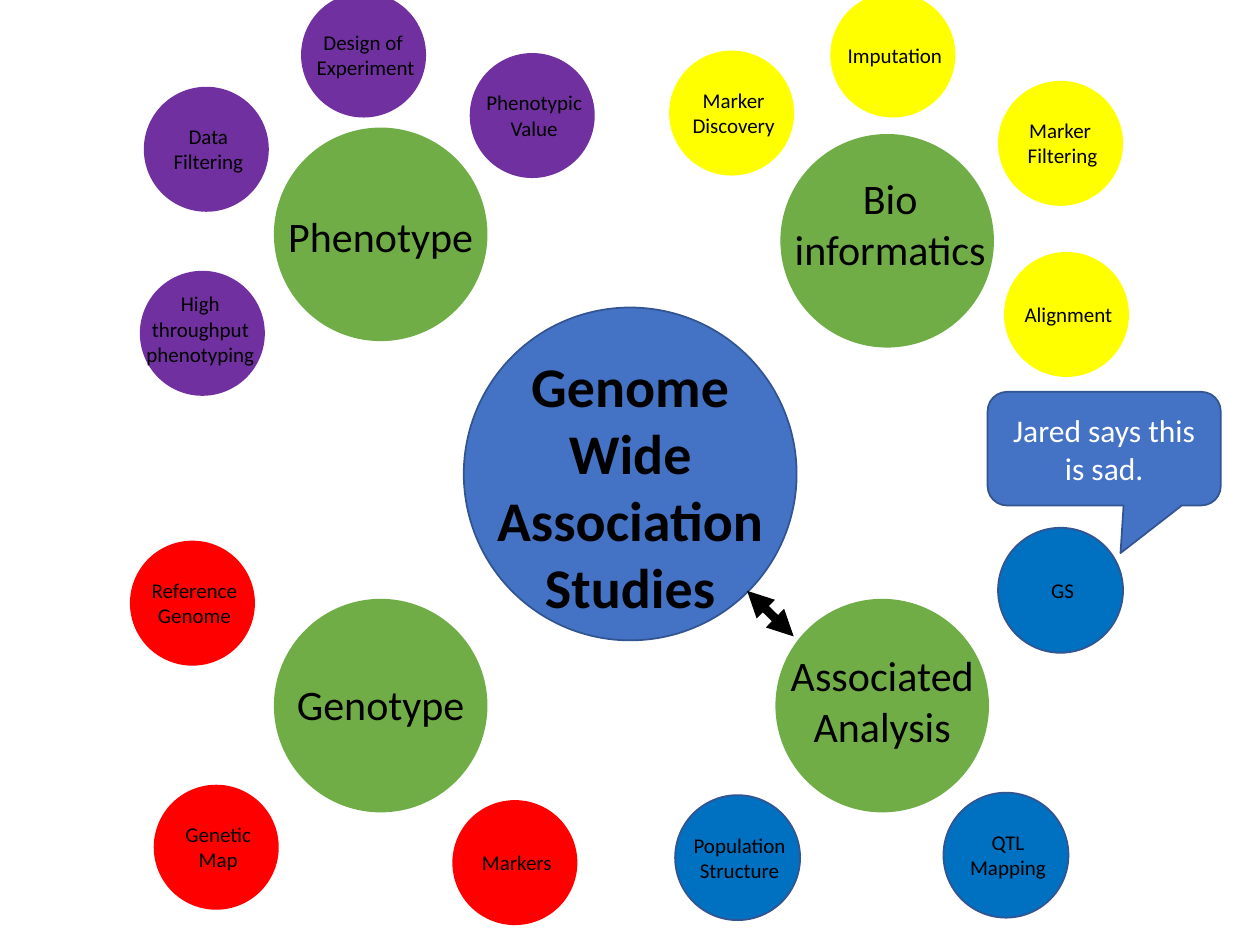
from dataclasses import dataclass
from typing import Optional

from lxml.etree import SubElement as Sub
from pptx import Presentation
from pptx.dml.color import RGBColor as Rgb
from pptx.enum.shapes import MSO_CONNECTOR as Link, MSO_SHAPE as Kind
from pptx.enum.text import MSO_ANCHOR as Anchor, MSO_AUTO_SIZE as Fit, PP_ALIGN as Align
from pptx.oxml.ns import qn
from pptx.util import Cm, Pt


@dataclass(frozen=True)
class Theme:
    font: str = "Calibri"
    blue: str = "4472C4"
    edge: str = "325491"
    green: str = "70AD47"
    navy: str = "0070C0"
    yellow: str = "FFFF00"
    purple: str = "7030A0"
    red: str = "FF0000"
    black: str = "000000"
    white: str = "FFFFFF"
    core: int = 32
    hub: int = 24
    note: int = 18
    leaf: int = 12


@dataclass(frozen=True)
class Style:
    size: float
    fill: str
    line: Optional[str]
    pt: int
    shift: float = 0
    bold: bool = False


@dataclass(frozen=True)
class Disc:
    left: float
    top: float
    text: str
    style: Style
    rows: int = 1
    dx: float = 0
    dy: float = 0
    wide: Optional[float] = None


T = Theme()
CORE = Style(6.71, T.blue, T.edge, T.core, bold=True)
HUB = Style(4.27, T.green, T.green, T.hub)
NAVY = Style(2.52, T.navy, T.edge, T.leaf, 0.04)
YELLOW = Style(2.52, T.yellow, None, T.leaf, 0.04)
PURPLE = Style(2.52, T.purple, None, T.leaf, 0.04)
RED = Style(2.52, T.red, None, T.leaf, 0.04)

HUBS = [
    Disc(9.35, 6.2, "Genome Wide Association Studies", CORE, 4, dy=0.28),
    Disc(5.54, 2.59, "Phenotype", HUB, dy=0.03),
    Disc(5.54, 12.09, "Genotype", HUB, dy=-0.03),
    Disc(15.65, 12.09, "Associated Analysis", HUB, 2, dy=-0.09),
    Disc(15.75, 2.72, "Bio\ninformatics", HUB, 2, 0.06, -0.34, 4.6),
]
LEAVES = [
    Disc(19.02, 15.98, "QTL Mapping", NAVY, 2),
    Disc(20.12, 10.64, "GS", NAVY),
    Disc(20.24, 5.08, "Alignment", YELLOW),
    Disc(13.61, 16.03, "Population\nStructure", NAVY, 2),
    Disc(13.49, 1.02, "Marker Discovery", YELLOW, 2),
    Disc(16.74, -0.15, "Imputation", YELLOW),
    Disc(20.12, 1.63, "Marker \nFiltering", YELLOW, 2),
    Disc(6.07, -0.15, "Design of \nExperiment", PURPLE, 2),
    Disc(2.82, 5.46, "High throughput phenotyping", PURPLE, 3, -0.08, -0.08, 2.9),
    Disc(9.47, 1.07, "Phenotypic Value", PURPLE, 2),
    Disc(2.9, 1.75, "Data\nFiltering", PURPLE, 2),
    Disc(2.62, 10.9, "Reference\nGenome", RED, 2),
    Disc(3.1, 15.82, "Genetic\nMap", RED, 2),
    Disc(9.12, 16.13, "Markers", RED),
]


def apply(item, values: dict) -> None:
    for name, value in values.items():
        setattr(item, name, value)


def paint(shape, fill: str, line: Optional[str]) -> None:
    shape.shadow.inherit = False
    shape.fill.solid()
    shape.fill.fore_color.rgb = Rgb.from_string(fill)
    if line:
        shape.line.color.rgb = Rgb.from_string(line)
        shape.line.width = Pt(1)
    else:
        shape.line.fill.background()


def write(shape, text: str, pt: int, color: str, frame: dict, bold: bool = False) -> None:
    body = shape.text_frame
    body.text = text
    apply(body, {"word_wrap": True, **frame})
    for para in body.paragraphs:
        para.alignment = Align.CENTER
        for run in para.runs:
            apply(run.font, {"name": T.font, "size": Pt(pt), "bold": bold})
            run.font.color.rgb = Rgb.from_string(color)


def draw(shapes, disc: Disc) -> None:
    style = disc.style
    size = style.size
    oval = shapes.add_shape(Kind.OVAL, Cm(disc.left), Cm(disc.top), Cm(size), Cm(size))
    paint(oval, style.fill, style.line)
    wide = disc.wide or size
    high = Cm(0.25) + Pt(1.22 * style.pt * disc.rows)
    left = disc.left + (size - wide) / 2 + style.shift + disc.dx
    top = Cm(disc.top + size / 2 + disc.dy) - high // 2
    box = shapes.add_textbox(Cm(left), top, Cm(wide), high)
    write(box, disc.text, style.pt, T.black, {"auto_size": Fit.SHAPE_TO_FIT_TEXT}, style.bold)


def arrow(shapes, start: tuple[float, float], end: tuple[float, float]) -> None:
    link = shapes.add_connector(Link.STRAIGHT, *map(Cm, start + end))
    link.line.color.rgb = Rgb.from_string(T.black)
    link.line.width = Pt(5)
    for tag in ("a:headEnd", "a:tailEnd"):
        Sub(link.line._get_or_add_ln(), qn(tag), type="triangle")
    Sub(link._element.spPr, qn("a:effectLst"))


def callout(shapes, text: str) -> None:
    note = shapes.add_shape(
        Kind.ROUNDED_RECTANGULAR_CALLOUT, Cm(19.91), Cm(7.9), Cm(4.7), Cm(2.29)
    )
    for spot, value in enumerate((0.07, 0.92, 0.17)):
        note.adjustments[spot] = value
    paint(note, T.blue, T.edge)
    write(note, text, T.note, T.white, {"vertical_anchor": Anchor.MIDDLE})


def main() -> None:
    deck = Presentation()
    apply(deck, {"slide_width": Cm(25.4), "slide_height": Cm(19.05)})
    shapes = deck.slides.add_slide(deck.slide_layouts[6]).shapes
    for cluster in [HUBS, *([leaf] for leaf in LEAVES)]:
        group = shapes.add_group_shape()
        for disc in cluster:
            draw(group.shapes, disc)
    arrow(shapes, (15.06, 11.91), (16, 12.83))
    callout(shapes, "Jared says this is sad.")
    deck.save("out.pptx")


if __name__ == "__main__":
    main()
